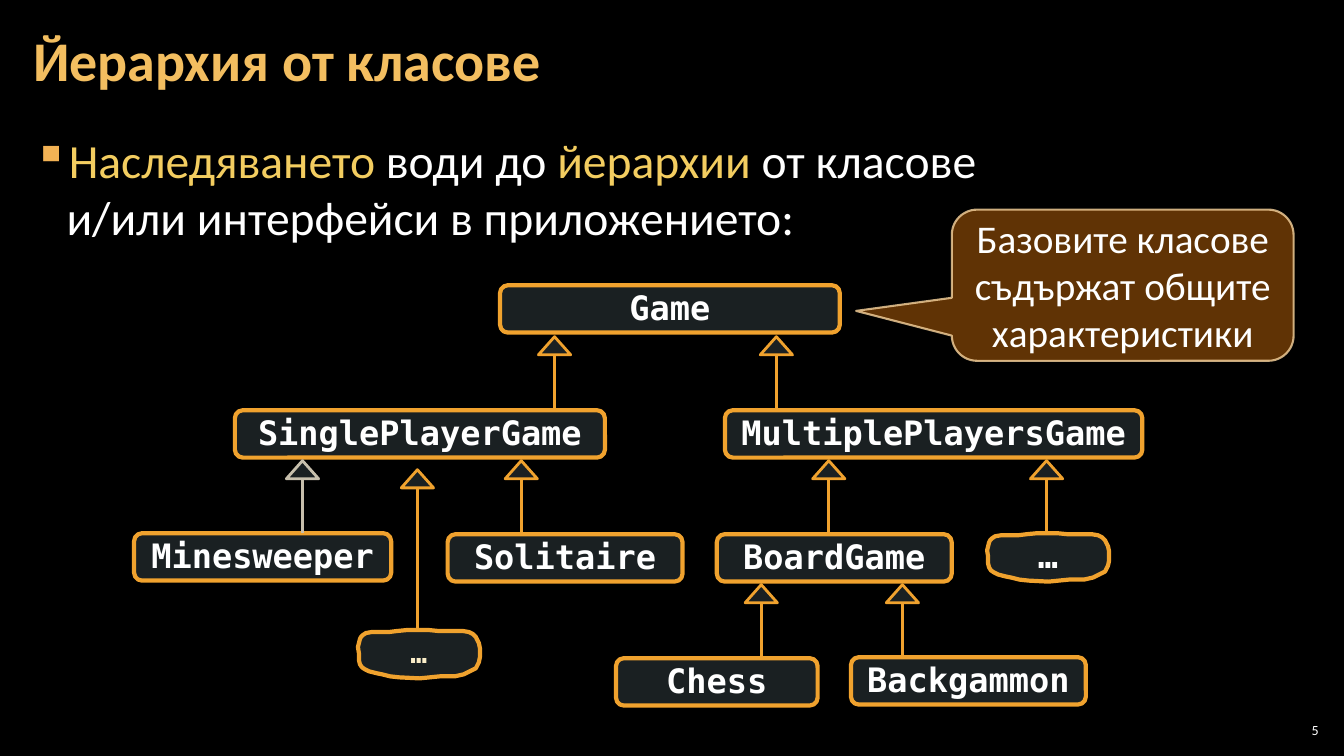
from dataclasses import dataclass

from lxml import etree
from pptx import Presentation
from pptx.dml.color import RGBColor
from pptx.enum.shapes import MSO_CONNECTOR, MSO_SHAPE
from pptx.enum.text import MSO_ANCHOR, PP_ALIGN
from pptx.oxml.ns import qn
from pptx.util import Inches, Pt

MIDDLE, TOP = MSO_ANCHOR.MIDDLE, MSO_ANCHOR.TOP
LEFT, CENTER, RIGHT = PP_ALIGN.LEFT, PP_ALIGN.CENTER, PP_ALIGN.RIGHT
ROUND, PEAK = MSO_SHAPE.ROUNDED_RECTANGLE, MSO_SHAPE.ISOSCELES_TRIANGLE
CALLOUT, STRAIGHT = MSO_SHAPE.ROUNDED_RECTANGULAR_CALLOUT, MSO_CONNECTOR.STRAIGHT
SANS, MONO = "Calibri", "DejaVu Sans Mono"
COLORS = {
    "black": "000000", "white": "FFFFFF", "title": "F3BE60", "accent": "F3CD60",
    "bullet": "F2B254", "glass": "B5DBE5", "orange": "F0A22E", "gray": "C7BFAC",
    "brown": "663606", "sand": "F8D49E", "cream": "FBEEC9",
}
NODE_H, PEAK_W, PEAK_H = 0.47, 0.32, 0.18


@dataclass
class Node:
    name: str
    left: float
    top: float
    width: float


@dataclass
class Arrow:
    x: float
    tip: float
    end: float
    color: str = "orange"


@dataclass
class Blob:
    left: float
    top: float
    size: int
    color: str


NODES = [
    Node("Game", 4.96, 2.83, 3.37),
    Node("SinglePlayerGame", 2.33, 4.07, 3.67),
    Node("MultiplePlayersGame", 7.19, 4.07, 4.14),
    Node("Minesweeper", 1.33, 5.29, 2.55),
    Node("Solitaire", 4.44, 5.3, 2.33),
    Node("BoardGame", 7.11, 5.3, 2.33),
    Node("Chess", 6.11, 6.53, 2),
    Node("Backgammon", 8.44, 6.52, 2.33),
]
ARROWS = [
    Arrow(5.5, 3.34, 4.06), Arrow(7.7, 3.34, 4.05),
    Arrow(3, 4.57, 5.29, "gray"), Arrow(5.17, 4.57, 5.29),
    Arrow(8.22, 4.57, 5.29), Arrow(10.38, 4.57, 5.29),
    Arrow(7.55, 5.8, 6.52), Arrow(8.95, 5.8, 6.52),
    Arrow(4.14, 4.66, 6.25),
]
BLOBS = [Blob(9.79, 5.29, 24, "white"), Blob(3.55, 6.25, 20, "cream")]
# Outline of a blob in hundredths of an inch
WOBBLE = [
    (0, 17), (1, 13), (2, 9), (3, 7), (5, 5), (8, 3), (14, 2), (31, 2), (39, 1),
    (49, 0), (70, 0), (80, 1), (104, 1), (110, 2), (114, 4), (117, 7), (120, 13),
    (121, 18), (121, 27), (120, 32), (117, 38), (113, 40), (109, 42), (105, 44),
    (96, 46), (81, 46), (61, 48), (41, 47), (32, 46), (24, 44), (19, 43), (11, 41),
    (7, 39), (4, 37), (2, 34), (1, 30), (1, 23),
]


def rgb(name: str) -> RGBColor:
    return RGBColor.from_string(COLORS[name])


def fade(shape, where: str, percent: int) -> None:
    color = shape.element.spPr.xpath(where + "a:solidFill/a:srgbClr")[0]
    etree.SubElement(color, qn("a:alpha"), val=str(percent * 1000))


def paint(shape, fill: str, percent: int, line: str, width: float) -> None:
    shape.shadow.inherit = False
    shape.fill.solid()
    shape.fill.fore_color.rgb = rgb(fill)
    fade(shape, "", percent)
    shape.line.color.rgb = rgb(line)
    shape.line.width = Pt(width)


def add_run(para, text: str, size: float, color: str, face: str = SANS,
            bold: bool = False) -> None:
    run = para.add_run()
    run.text = text
    run.font.size = Pt(size)
    run.font.name = face
    run.font.bold = bold
    run.font.color.rgb = rgb(color)


def set_label(shape, text: str, size: int, color: str) -> None:
    frame = shape.text_frame
    frame.word_wrap = False
    frame.vertical_anchor = MIDDLE
    para = frame.paragraphs[0]
    para.alignment = CENTER
    para.line_spacing = 0.95
    add_run(para, text, size, color, MONO, True)


def add_box(slide, left: float, top: float, width: float, height: float,
            side: float, anchor, align):
    box = slide.shapes.add_textbox(
        Inches(left), Inches(top), Inches(width), Inches(height))
    frame = box.text_frame
    frame.word_wrap = True
    frame.vertical_anchor = anchor
    frame.margin_left = frame.margin_right = Inches(side)
    frame.margin_top = frame.margin_bottom = Inches(0.04)
    para = frame.paragraphs[0]
    para.alignment = align
    return para


def add_node(slide, node: Node) -> None:
    shape = slide.shapes.add_shape(
        ROUND, Inches(node.left), Inches(node.top), Inches(node.width), Inches(NODE_H))
    paint(shape, "glass", 15, "orange", 3)
    set_label(shape, node.name, 24, "white")


def add_arrow(slide, arrow: Arrow) -> None:
    peak = slide.shapes.add_shape(
        PEAK, Inches(arrow.x - PEAK_W / 2), Inches(arrow.tip),
        Inches(PEAK_W), Inches(PEAK_H))
    paint(peak, "glass", 15, arrow.color, 2)
    stem = slide.shapes.add_connector(
        STRAIGHT, Inches(arrow.x), Inches(arrow.tip + PEAK_H),
        Inches(arrow.x), Inches(arrow.end))
    stem.line.color.rgb = rgb(arrow.color)
    stem.line.width = Pt(2)
    etree.SubElement(stem.element.spPr, qn("a:effectLst"))


def add_blob(slide, blob: Blob) -> None:
    pen = slide.shapes.build_freeform(*WOBBLE[0], scale=Inches(0.01))
    pen.add_line_segments(WOBBLE[1:], close=True)
    shape = pen.convert_to_shape(Inches(blob.left), Inches(blob.top))
    paint(shape, "glass", 15, "orange", 3)
    set_label(shape, "…", blob.size, blob.color)


def main() -> None:
    deck = Presentation()
    deck.slide_width, deck.slide_height = Inches(13.33), Inches(7.5)
    slide = deck.slides.add_slide(deck.slide_layouts[6])
    slide.background.fill.solid()
    slide.background.fill.fore_color.rgb = rgb("black")

    # Title
    para = add_box(slide, 0.21, 0.04, 12.91, 1.21, 0.12, MIDDLE, LEFT)
    para.line_spacing = Pt(40)
    add_run(para, "Йерархия от класове", 40, "title", bold=True)

    # Bullet text
    para = add_box(slide, 0.21, 1.26, 12.91, 6.09, 0.12, TOP, LEFT)
    props = para._p.get_or_add_pPr()
    props.set("marL", str(Inches(0.33)))
    props.set("indent", str(-Inches(0.33)))
    tint = etree.SubElement(props, qn("a:buClr"))
    etree.SubElement(tint, qn("a:srgbClr"), val=COLORS["bullet"])
    etree.SubElement(props, qn("a:buChar"), char="▪")
    para.space_after = Pt(6)
    add_run(para, "Наследяването ", 34, "accent")
    add_run(para, "води до ", 34, "white")
    add_run(para, "йерархии ", 34, "accent")
    add_run(para, "от класове", 34, "white")
    para.add_line_break()
    add_run(para, "и/или интерфейси в приложението:", 34, "white")

    # Class tree
    for node in NODES:
        add_node(slide, node)
    for arrow in ARROWS:
        add_arrow(slide, arrow)
    for blob in BLOBS:
        add_blob(slide, blob)

    # Callout
    note = slide.shapes.add_shape(
        CALLOUT, Inches(9.44), Inches(2.08), Inches(3.39), Inches(1.5))
    note.adjustments[0], note.adjustments[1] = -0.78, 0.17
    paint(note, "brown", 95, "sand", 1.5)
    fade(note, "a:ln/", 80)
    note.text_frame.word_wrap = True
    note.text_frame.vertical_anchor = MIDDLE
    para = note.text_frame.paragraphs[0]
    para.alignment = CENTER
    add_run(para, "Базовите класове съдържат общите характеристики", 28, "white")

    # Slide number
    para = add_box(slide, 12.65, 7.14, 0.47, 0.21, 0.04, MIDDLE, RIGHT)
    add_run(para, "5", 10, "white")

    deck.save("out.pptx")


if __name__ == "__main__":
    main()
